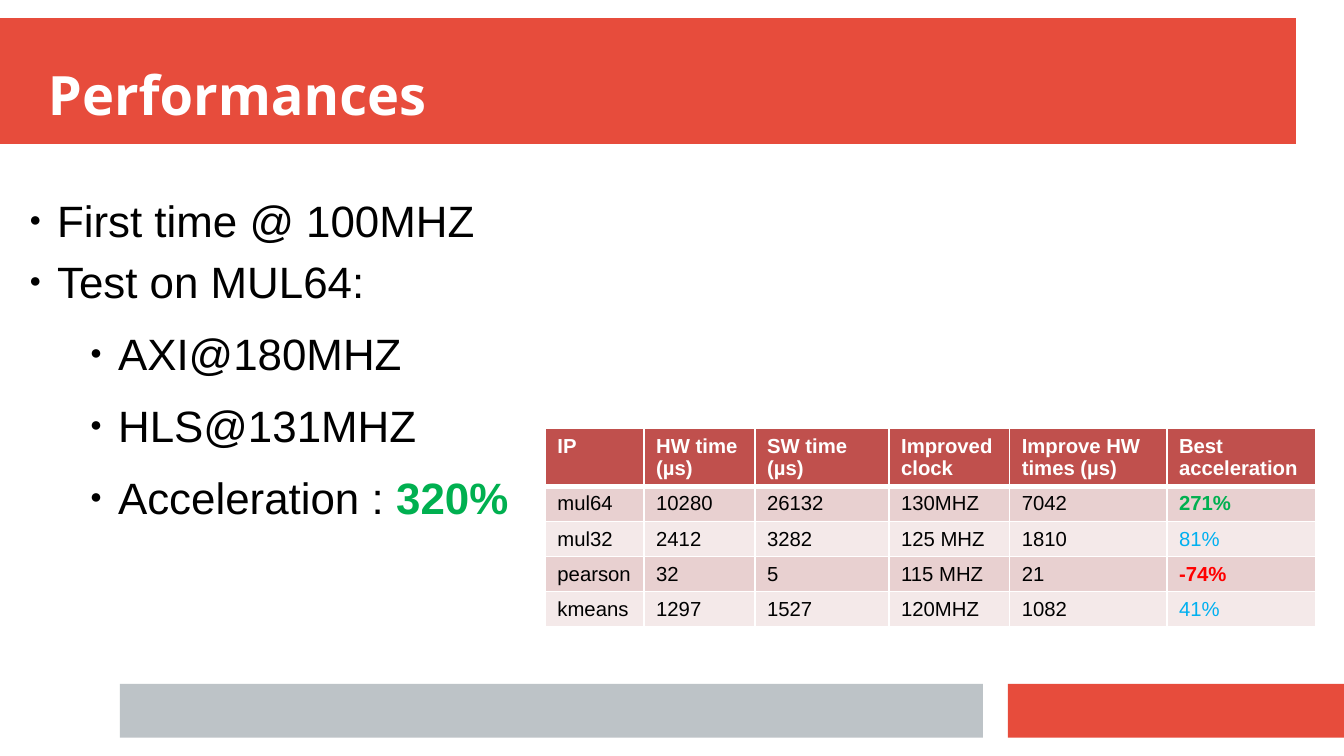
from collections import namedtuple
from dataclasses import dataclass

from lxml import etree
from pptx import Presentation
from pptx.dml.color import RGBColor
from pptx.enum.shapes import MSO_SHAPE
from pptx.enum.text import MSO_ANCHOR, MSO_AUTO_SIZE, PP_ALIGN
from pptx.oxml.ns import qn
from pptx.util import Cm, Pt

RECTANGLE = MSO_SHAPE.RECTANGLE
TOP, BOTTOM = MSO_ANCHOR.TOP, MSO_ANCHOR.BOTTOM
LEFT = PP_ALIGN.LEFT
NO_FIT = MSO_AUTO_SIZE.NONE
Box = namedtuple("Box", "left top width height")


@dataclass(frozen=True)
class Theme:
    heading_font: str = "Noto Sans"
    body_font: str = "Arial"
    title_size: float = 32
    list_size: float = 25.9
    table_size: float = 12
    accent: str = "E74C3C"
    grey: str = "BDC3C7"
    white: str = "FFFFFF"
    ink: str = "000000"
    header: str = "C0504D"
    bands: tuple = ("E8D0D0", "F4E9E9")
    best: str = "00B050"
    good: str = "00B0F0"
    bad: str = "FF0000"


THEME = Theme()
BULLETS = [
    (0, ["First time @ 100MHZ"]),
    (0, ["Test on MUL64:"]),
    (1, ["AXI@180MHZ"]),
    (1, ["HLS@131MHZ"]),
    (1, ["Acceleration : ", "320%"]),
]
HEADINGS = ["IP", "HW time (µs)", "SW time (µs)", "Improved clock",
            "Improve HW times (µs)", "Best\nacceleration"]
RESULTS = [
    ["mul64", "10280", "26132", "130MHZ", "7042", "271%"],
    ["mul32", "2412", "3282", "125 MHZ", "1810", "81%"],
    ["pearson", "32", "5", "115 MHZ", "21", "-74%"],
    ["kmeans", "1297", "1527", "120MHZ", "1082", "41%"],
]
RESULT_STYLES = {"271%": (THEME.best, True), "81%": (THEME.good, False),
                 "-74%": (THEME.bad, True), "41%": (THEME.good, False)}
COLUMN_SHARES = [0.81, 0.91, 1.1, 0.99, 1.29, 1.22]


def format_span(span, font, size, color, bold=False):
    span.font.name = font
    span.font.size = Pt(size)
    span.font.color.rgb = RGBColor.from_string(color)
    span.font.bold = bold


def place(shape, box):
    shape.left, shape.top, shape.width, shape.height = map(Cm, box)


def prepare_frame(frame, anchor):
    frame.margin_left = frame.margin_right = 0
    frame.margin_top = frame.margin_bottom = 0
    frame.word_wrap = True
    frame.auto_size = NO_FIT
    frame.vertical_anchor = anchor


def draw_bar(page, box, color):
    bar = page.shapes.add_shape(RECTANGLE, *map(Cm, box))
    bar.shadow.inherit = False
    bar.fill.solid()
    bar.fill.fore_color.rgb = RGBColor.from_string(color)
    bar.line.fill.background()
    page.shapes.element.insert(2, bar.element)


def draw_footer(page, box):
    gap = 0.52
    accent_width = 7
    grey_width = box.width - accent_width - gap
    draw_bar(page, box._replace(width=grey_width), THEME.grey)
    draw_bar(page, box._replace(left=box.left + grey_width + gap,
                                width=accent_width), THEME.accent)


def draw_title(page, box):
    draw_bar(page, box, THEME.accent)
    title = page.shapes.title
    place(title, Box(box.left + 1, box.top + 0.38, box.width - 1, 1.88))
    prepare_frame(title.text_frame, BOTTOM)
    title.text_frame.text = "Performances"
    para = title.text_frame.paragraphs[0]
    para.alignment = LEFT
    format_span(para.runs[0], THEME.heading_font, THEME.title_size,
                THEME.white, True)


def set_bullet(para, level):
    props = para._p.get_or_add_pPr()
    props.set("marL", str(Cm(0.61 + 1.27 * level)))
    props.set("indent", str(Cm(-0.58)))
    color = etree.SubElement(props, qn("a:buClr"))
    etree.SubElement(color, qn("a:srgbClr"), val=THEME.ink)
    etree.SubElement(props, qn("a:buSzPct"), val="45000")
    etree.SubElement(props, qn("a:buFont"), typeface=THEME.body_font)
    etree.SubElement(props, qn("a:buChar"), char="●")


def draw_list(page, box):
    body = page.placeholders[1]
    place(body, box)
    frame = body.text_frame
    prepare_frame(frame, TOP)
    frame.text = "\n".join("".join(parts) for _, parts in BULLETS)
    for para, (level, parts) in zip(frame.paragraphs, BULLETS):
        para.level = level
        para.alignment = LEFT
        para.line_spacing = 1.0 if level else 0.8
        para.space_before = Pt(0)
        para.space_after = Pt(11.4)
        set_bullet(para, level)
        para.runs[0].text = parts[0]
        for part in parts[1:]:
            para.add_run().text = part
        for index, span in enumerate(para.runs):
            format_span(span, THEME.body_font, THEME.list_size,
                        THEME.best if index else THEME.ink, index > 0)


def set_borders(cell, bottom_width):
    props = cell._tc.get_or_add_tcPr()
    widths = {"a:lnL": 1, "a:lnR": 1, "a:lnT": 1, "a:lnB": bottom_width}
    for index, (tag, width) in enumerate(widths.items()):
        line = etree.Element(qn(tag), w=str(Pt(width)))
        fill = etree.SubElement(line, qn("a:solidFill"))
        etree.SubElement(fill, qn("a:srgbClr"), val=THEME.white)
        props.insert(index, line)


def fill_cell(cell, text, fill, color, bold, bottom_width):
    cell.text = text
    cell.fill.solid()
    cell.fill.fore_color.rgb = RGBColor.from_string(fill)
    for para in cell.text_frame.paragraphs:
        for span in para.runs:
            format_span(span, THEME.body_font, THEME.table_size, color, bold)
    set_borders(cell, bottom_width)


def draw_results(page, box):
    header_height = 1.19
    row_height = (box.height - header_height) / len(RESULTS)
    table = page.shapes.add_table(len(RESULTS) + 1, len(HEADINGS),
                                  *map(Cm, box)).table
    for column, share in zip(table.columns, COLUMN_SHARES):
        column.width = Cm(box.width * share / sum(COLUMN_SHARES))
    for r, values in enumerate([HEADINGS] + RESULTS):
        table.rows[r].height = Cm(row_height if r else header_height)
        for c, text in enumerate(values):
            if r:
                color, bold = RESULT_STYLES.get(text, (THEME.ink, False))
                fill = THEME.bands[(r - 1) % 2]
            else:
                color, bold, fill = THEME.white, True, THEME.header
            fill_cell(table.cell(r, c), text, fill, color, bold, 1 if r else 3)


def main():
    deck = Presentation()
    deck.slide_width, deck.slide_height = Cm(28), Cm(15.75)
    page = deck.slides.add_slide(deck.slide_layouts[1])
    draw_footer(page, Box(2.5, 14.25, 25.5, 1.12))
    draw_title(page, Box(0, 0.38, 27, 2.62))
    draw_list(page, Box(0.58, 4.24, 14.07, 7.26))
    draw_results(page, Box(11.36, 8.93, 16.05, 4.11))
    deck.save("out.pptx")


main()
